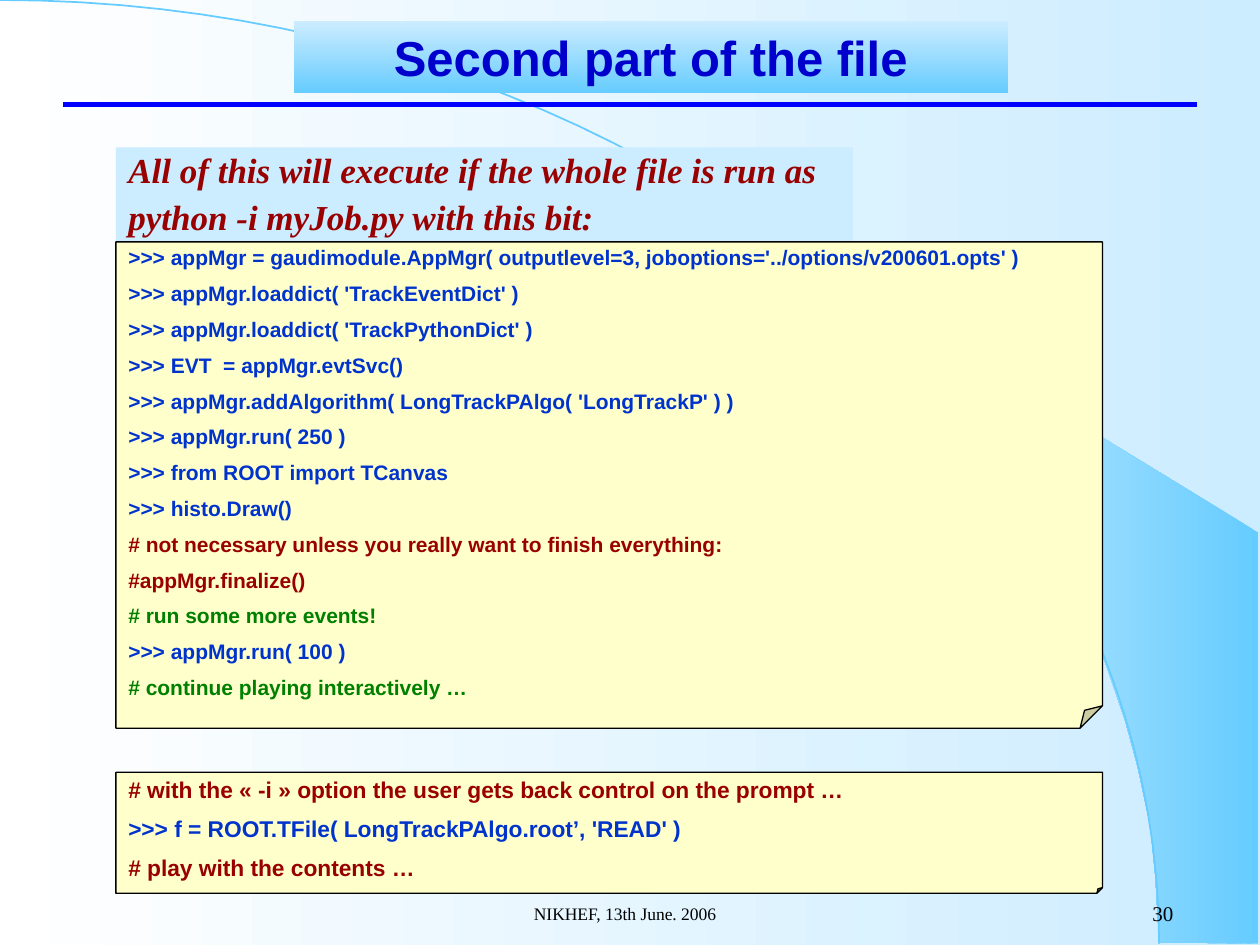
import math

import lxml.etree
import pptx
import pptx.dml.color
import pptx.enum.shapes
import pptx.enum.text
import pptx.oxml.ns
import pptx.util

Inches = pptx.util.Inches
Pt = pptx.util.Pt
RGBColor = pptx.dml.color.RGBColor
SHAPE = pptx.enum.shapes.MSO_SHAPE
ANCHOR = pptx.enum.text.MSO_ANCHOR
ALIGN = pptx.enum.text.PP_ALIGN
qn = pptx.oxml.ns.qn

PALE = RGBColor(0xCC, 0xEC, 0xFF)
SKY = RGBColor(0x66, 0xCC, 0xFF)
WHITE = RGBColor(0xFF, 0xFF, 0xFF)
NEAR_WHITE = RGBColor(0xFE, 0xFE, 0xFE)
BLACK = RGBColor(0, 0, 0)
RULE_BLUE = RGBColor(0, 0, 0xFF)
TITLE_BLUE = RGBColor(0, 0, 0xCC)
CODE_BLUE = RGBColor(0, 0x33, 0xCC)
RED = RGBColor(0x99, 0, 0)
GREEN = RGBColor(0, 0x80, 0)
NOTE = RGBColor(0xFF, 0xFF, 0xCC)

SWEEP = [
    (9.2, 7.48), (9.99, 7.49), (9.99, 4.23), (5.89, 1.73), (6.24, 1.99),
    (6.53, 2.22), (6.85, 2.5), (7.16, 2.8), (7.62, 3.3), (8.03, 3.84),
    (8.32, 4.31), (8.58, 4.79), (8.78, 5.28), (8.93, 5.72), (9.03, 6.09),
    (9.13, 6.56), (9.17, 6.96),
]
ARC = [(9.2 * math.sin(math.radians(angle)), 7.49 * (1 - math.cos(math.radians(angle))))
       for angle in range(0, 91, 2)]

HEADING = [
    ("All of this will execute if the whole file is run as", RED),
    ("python -i myJob.py with this bit:", RED),
]
PROMPT_LINES = [
    ("# with the « -i » option the user gets back control on the prompt …", RED),
    (">>> f = ROOT.TFile( LongTrackPAlgo.root’, 'READ' )", CODE_BLUE),
    ("# play with the contents …", RED),
]
JOB_LINES = [
    (">>> appMgr = gaudimodule.AppMgr( outputlevel=3, joboptions='../options/v200601.opts' )",
     CODE_BLUE),
    (">>> appMgr.loaddict( 'TrackEventDict' )", CODE_BLUE),
    (">>> appMgr.loaddict( 'TrackPythonDict' )", CODE_BLUE),
    (">>> EVT  = appMgr.evtSvc()", CODE_BLUE),
    (">>> appMgr.addAlgorithm( LongTrackPAlgo( 'LongTrackP' ) )", CODE_BLUE),
    (">>> appMgr.run( 250 )", CODE_BLUE),
    (">>> from ROOT import TCanvas", CODE_BLUE),
    (">>> histo.Draw()", CODE_BLUE),
    ("# not necessary unless you really want to finish everything:", RED),
    ("#appMgr.finalize()", RED),
    ("# run some more events!", GREEN),
    (">>> appMgr.run( 100 )", CODE_BLUE),
    ("# continue playing interactively …", GREEN),
]


def set_gradient(fill, start, end, angle):
    """Two-colour gradient; the angle runs counter-clockwise."""
    fill.gradient()
    fill.gradient_angle = angle
    for stop, color in zip(fill.gradient_stops, (start, end)):
        stop.color.rgb = color


def add_outline(page, points, close):
    corners = [(Inches(x), Inches(y)) for x, y in points]
    builder = page.shapes.build_freeform(*corners[0])
    builder.add_line_segments(corners[1:], close=close)
    shape = builder.convert_to_shape()
    shape.shadow.inherit = False
    return shape


def add_backdrop(page):
    set_gradient(page.background.fill, PALE, WHITE, 180)
    sweep = add_outline(page, SWEEP, close=True)
    set_gradient(sweep.fill, SKY, NEAR_WHITE, 180)
    sweep.line.fill.background()
    arc = add_outline(page, ARC, close=False)
    arc.fill.background()
    arc.line.color.rgb = SKY
    arc.line.width = Pt(1)


def add_rule(page):
    rule = page.shapes.add_connector(
        pptx.enum.shapes.MSO_CONNECTOR.STRAIGHT,
        Inches(0.5), Inches(0.83), Inches(9.5), Inches(0.83))
    rule.line.color.rgb = RULE_BLUE
    rule.line.width = Pt(3)
    lxml.etree.SubElement(rule._element.spPr, qn("a:effectLst"))


def add_panel(page, kind, left, top, width, height):
    panel = page.shapes.add_shape(
        kind, Inches(left), Inches(top), Inches(width), Inches(height))
    panel.shadow.inherit = False
    panel.line.fill.background()
    return panel


def write_lines(box, lines, font, size, bold=False, italic=False, align=ALIGN.LEFT,
                anchor=ANCHOR.MIDDLE, spacing=1.0, gap=0, hanging=0):
    frame = box.text_frame
    frame.word_wrap = True
    frame.vertical_anchor = anchor
    for index, (text, color) in enumerate(lines):
        para = frame.paragraphs[0] if index == 0 else frame.add_paragraph()
        para.text = text
        para.alignment = align
        para.line_spacing = spacing
        if index:
            para.space_before = Pt(gap)
        if hanging:
            properties = para._p.get_or_add_pPr()
            properties.set("marL", str(Inches(hanging)))
            properties.set("indent", str(-Inches(hanging)))
        para.font.name = font
        para.font.size = Pt(size)
        para.font.bold = bold
        para.font.italic = italic
        para.font.color.rgb = color


def add_title(page, text):
    panel = add_panel(page, SHAPE.RECTANGLE, 2.33, 0.17, 5.67, 0.57)
    set_gradient(panel.fill, PALE, SKY, 270)
    write_lines(panel, [(text, TITLE_BLUE)], "Arial", 28, bold=True,
                align=ALIGN.CENTER, anchor=ANCHOR.TOP)


def add_heading(page):
    panel = add_panel(page, SHAPE.RECTANGLE, 0.92, 1.17, 5.85, 0.77)
    panel.fill.solid()
    panel.fill.fore_color.rgb = PALE
    write_lines(panel, HEADING, "Times New Roman", 20, bold=True, italic=True,
                anchor=ANCHOR.TOP, spacing=0.9, gap=5, hanging=0.5)


def set_fold(note, share):
    """Size the folded corner, which has no entry in shape.adjustments."""
    guides = next(note._element.spPr.iter(qn("a:avLst")))
    lxml.etree.SubElement(guides, qn("a:gd"), name="adj",
                          fmla=f"val {round(share * 100000)}")


def add_code_note(page, top, height, lines, size, gap):
    note = add_panel(page, SHAPE.FOLDED_CORNER, 0.92, top, 7.83, height)
    set_fold(note, 0.046)
    note.fill.solid()
    note.fill.fore_color.rgb = NOTE
    note.line.color.rgb = BLACK
    note.line.width = Pt(0.75)
    write_lines(note, lines, "Arial", size, bold=True, spacing=0.9, gap=gap)


def add_footer(page, left, width, text, size, align):
    box = page.shapes.add_textbox(Inches(left), Inches(7), Inches(width), Inches(0.5))
    write_lines(box, [(text, BLACK)], "Times New Roman", size, align=align)


def main():
    deck = pptx.Presentation()
    deck.slide_width = Inches(10)
    deck.slide_height = Inches(7.5)
    page = deck.slides.add_slide(deck.slide_layouts[6])
    add_backdrop(page)
    add_rule(page)
    add_title(page, "Second part of the file")
    add_heading(page)
    add_code_note(page, 6.13, 0.96, PROMPT_LINES, size=13, gap=8.1)
    add_code_note(page, 1.92, 3.86, JOB_LINES, size=12, gap=7.5)
    add_footer(page, 2.92, 4.08, "NIKHEF, 13th June. 2006", 10, ALIGN.CENTER)
    add_footer(page, 7.33, 2.08, "30", 12, ALIGN.RIGHT)
    deck.save("out.pptx")


if __name__ == "__main__":
    main()
